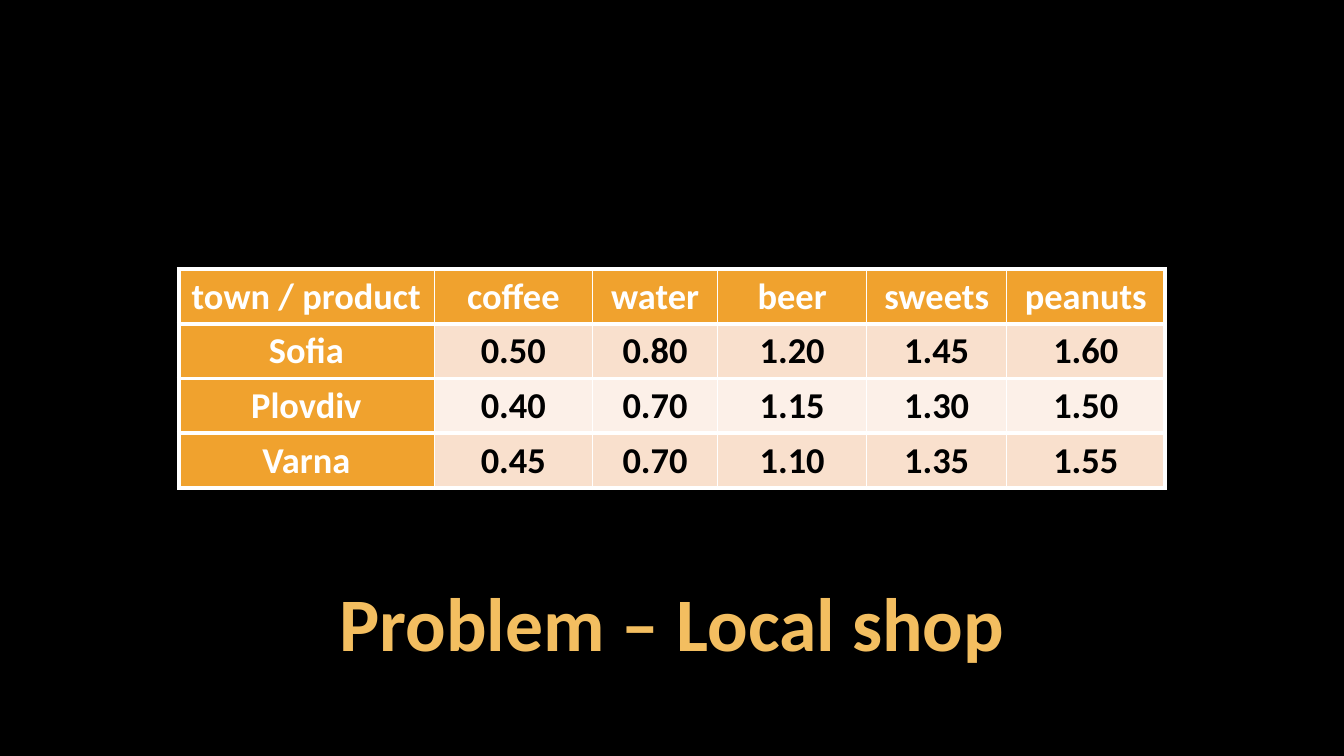
"""Build the Local shop slide: a price table above its title."""
from dataclasses import dataclass

import lxml.etree
import pptx
import pptx.dml.color
import pptx.enum.text
import pptx.oxml.ns
import pptx.table
import pptx.util

BLACK = pptx.dml.color.RGBColor(0x00, 0x00, 0x00)
WHITE = pptx.dml.color.RGBColor(0xFF, 0xFF, 0xFF)
ORANGE = pptx.dml.color.RGBColor(0xF0, 0xA2, 0x2E)
GOLD = pptx.dml.color.RGBColor(0xF3, 0xBE, 0x60)
PEACH = pptx.dml.color.RGBColor(0xF9, 0xE0, 0xCD)
CREAM = pptx.dml.color.RGBColor(0xFC, 0xF0, 0xE8)

FONT = "Calibri"
WIDTH, HEIGHT = pptx.util.Inches(13.33), pptx.util.Inches(7.5)
TABLE_TOP = 0.356
ROW_HEIGHT = 0.0724
COLUMN_WIDTHS = (0.19, 0.118, 0.093, 0.111, 0.104, 0.118)
TITLE_TOP, TITLE_HEIGHT = 0.769, 0.12
THICK, THIN = pptx.util.Pt(3), pptx.util.Pt(1)


@dataclass(frozen=True)
class PriceRow:
    label: str
    values: tuple[str, ...]
    fill: pptx.dml.color.RGBColor
    color: pptx.dml.color.RGBColor = BLACK


ROWS = (
    PriceRow("town / product", ("coffee", "water", "beer", "sweets", "peanuts"), ORANGE, WHITE),
    PriceRow("Sofia", ("0.50", "0.80", "1.20", "1.45", "1.60"), PEACH),
    PriceRow("Plovdiv", ("0.40", "0.70", "1.15", "1.30", "1.50"), CREAM),
    PriceRow("Varna", ("0.45", "0.70", "1.10", "1.35", "1.55"), PEACH),
)


def style_text(p, size: float, color: pptx.dml.color.RGBColor) -> None:
    p.alignment = pptx.enum.text.PP_ALIGN.CENTER
    p.font.name = FONT
    p.font.size = pptx.util.Pt(size)
    p.font.bold = True
    p.font.color.rgb = color


def add_border(cell: pptx.table._Cell, side: str, width: int) -> None:
    qn = pptx.oxml.ns.qn
    tcPr = cell._tc.get_or_add_tcPr()
    ln = lxml.etree.SubElement(tcPr, qn(f"a:ln{side}"), w=str(width))
    fill = lxml.etree.SubElement(ln, qn("a:solidFill"))
    lxml.etree.SubElement(fill, qn("a:srgbClr"), val=str(WHITE))


def draw_cell(cell: pptx.table._Cell, text: str, fill: pptx.dml.color.RGBColor,
              color: pptx.dml.color.RGBColor, first: bool, last: bool) -> None:
    cell.text = text
    cell.vertical_anchor = pptx.enum.text.MSO_ANCHOR.MIDDLE
    cell.margin_left = cell.margin_right = pptx.util.Inches(0.07)
    cell.margin_top = cell.margin_bottom = 0
    style_text(cell.text_frame.paragraphs[0], 26, color)
    add_border(cell, "L", THICK if first else THIN)
    add_border(cell, "R", THICK if last else THIN)
    add_border(cell, "T", THICK)
    add_border(cell, "B", THICK)
    cell.fill.solid()
    cell.fill.fore_color.rgb = fill


def draw_table(s) -> None:
    width = sum(COLUMN_WIDTHS)
    table = s.shapes.add_table(
        len(ROWS), len(COLUMN_WIDTHS),
        int(WIDTH * (1 - width) / 2), int(HEIGHT * TABLE_TOP),
        int(WIDTH * width), int(HEIGHT * ROW_HEIGHT * len(ROWS))).table
    for column, share in zip(table.columns, COLUMN_WIDTHS):
        column.width = int(WIDTH * share)
    last = len(COLUMN_WIDTHS) - 1
    for i, row in enumerate(ROWS):
        table.rows[i].height = int(HEIGHT * ROW_HEIGHT)
        draw_cell(table.cell(i, 0), row.label, ORANGE, WHITE, True, False)
        for j, value in enumerate(row.values, start=1):
            draw_cell(table.cell(i, j), value, row.fill, row.color, False, j == last)


def draw_title(s, text: str) -> None:
    sp = s.shapes.title
    sp.left, sp.top = 0, int(HEIGHT * TITLE_TOP)
    sp.width, sp.height = WIDTH, int(HEIGHT * TITLE_HEIGHT)
    tf = sp.text_frame
    tf.text = text
    tf.word_wrap = True
    tf.auto_size = pptx.enum.text.MSO_AUTO_SIZE.SHAPE_TO_FIT_TEXT
    tf.vertical_anchor = pptx.enum.text.MSO_ANCHOR.BOTTOM
    tf.margin_left = tf.margin_right = pptx.util.Inches(0.04)
    tf.margin_top = tf.margin_bottom = pptx.util.Inches(0.04)
    p = tf.paragraphs[0]
    p.line_spacing = 0.9
    style_text(p, 54, GOLD)


def main() -> None:
    prs = pptx.Presentation()
    prs.slide_width, prs.slide_height = WIDTH, HEIGHT
    s = prs.slides.add_slide(prs.slide_layouts[5])
    s.background.fill.solid()
    s.background.fill.fore_color.rgb = BLACK
    draw_table(s)
    draw_title(s, "Problem – Local shop")
    prs.save("out.pptx")


if __name__ == "__main__":
    main()
